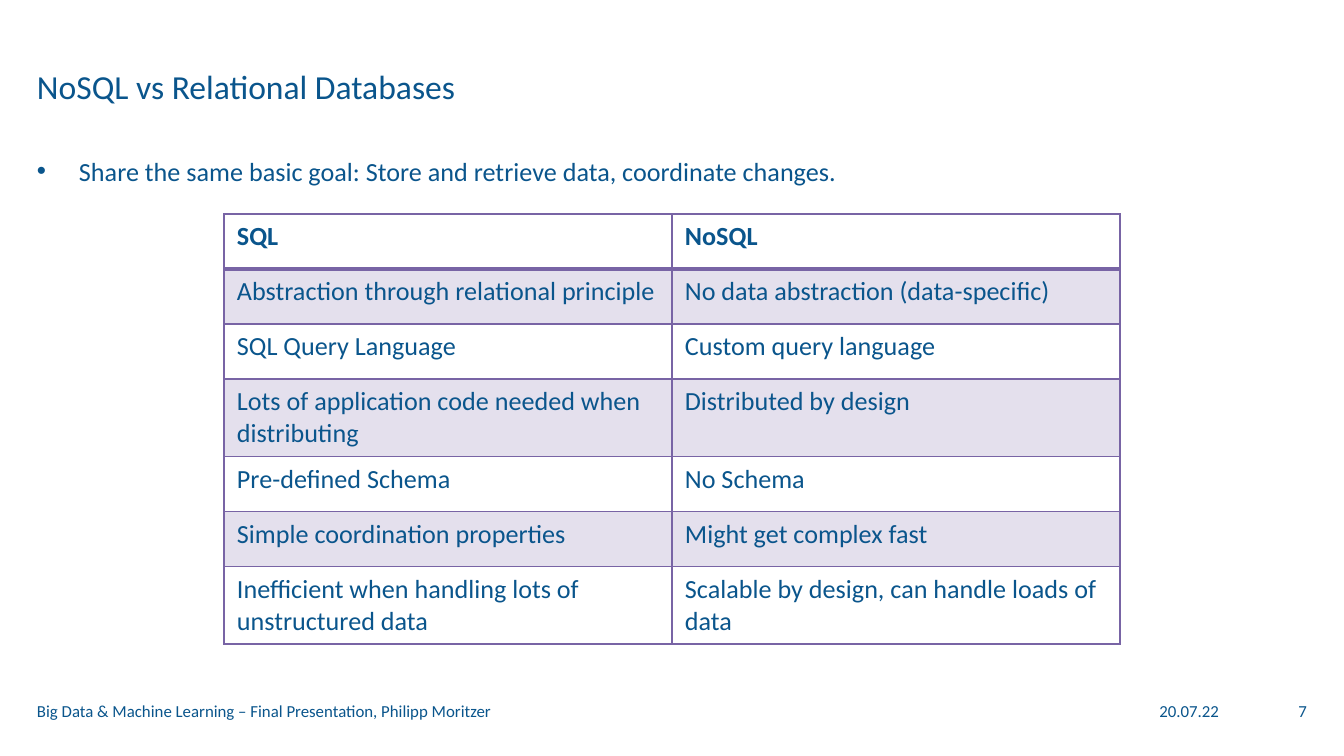
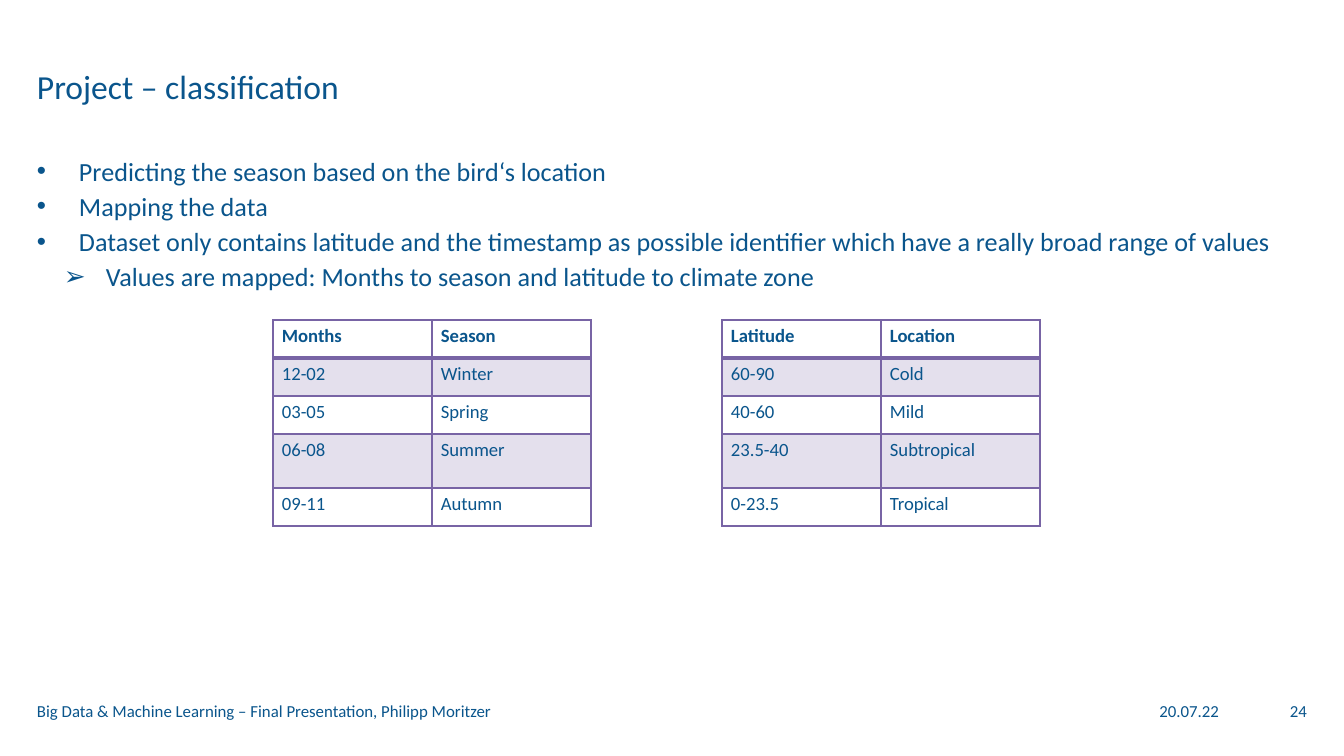
import pptx
import pptx.dml.color
import pptx.enum.text
import pptx.oxml
import pptx.oxml.ns
import pptx.util
from lxml import etree

# One px is 1/134.4 inch
EMU_PER_PX = 914400 / 134.4
WIDTH, HEIGHT = 1344, 756

FONT = "Calibri"
BLUE = pptx.dml.color.RGBColor(0x0A, 0x55, 0x8C)
PURPLE = pptx.dml.color.RGBColor(0x78, 0x64, 0xA5)
BAND_OPACITY = 20

LEFT = pptx.enum.text.PP_ALIGN.LEFT
RIGHT = pptx.enum.text.PP_ALIGN.RIGHT
TOP = pptx.enum.text.MSO_ANCHOR.TOP
MIDDLE = pptx.enum.text.MSO_ANCHOR.MIDDLE

FOOTER = "Big Data & Machine Learning – Final Presentation, Philipp Moritzer"
DATE = "20.07.22"

# Per list level: bullet character and left margin; all hang by the same amount
BULLETS = [("•", 42), ("➢", 69)]
HANGING = 42


def px(length):
    return pptx.util.Emu(round(length * EMU_PER_PX))


def sub(parent, tag, **attributes):
    return etree.SubElement(parent, pptx.oxml.ns.qn(tag), attributes)


class Deck:
    def __init__(self):
        self.presentation = pptx.Presentation()
        self.presentation.slide_width = px(WIDTH)
        self.presentation.slide_height = px(HEIGHT)
        self.page = None

    def add_page(self, title, number):
        layout = self.presentation.slide_layouts[1]
        self.page = self.presentation.slides.add_slide(layout)
        self.text(1106, 700, 113, 22, DATE, RIGHT)
        self.text(37, 700, 1000, 22, FOOTER, LEFT)
        self.text(1250, 700, 57, 22, str(number), RIGHT)
        box = self.page.shapes.title
        self.place(box, 37, 66, 1270, 79, TOP)
        box.text_frame.text = title
        self.style(box.text_frame.paragraphs[0], 18)

    def place(self, box, left, top, width, height, anchor):
        box.left, box.top = px(left), px(top)
        box.width, box.height = px(width), px(height)
        frame = box.text_frame
        frame.margin_left = frame.margin_right = 0
        frame.margin_top = frame.margin_bottom = 0
        frame.word_wrap = True
        frame.auto_size = pptx.enum.text.MSO_AUTO_SIZE.NONE
        frame.vertical_anchor = anchor

    def style(self, para, size, align=LEFT, bold=False):
        para.alignment = align
        para.font.name = FONT
        para.font.size = pptx.util.Pt(size)
        para.font.bold = bold
        para.font.color.rgb = BLUE

    def text(self, left, top, width, height, words, align):
        box = self.page.shapes.add_textbox(0, 0, 0, 0)
        self.place(box, left, top, width, height, MIDDLE)
        box.text_frame.text = words
        self.style(box.text_frame.paragraphs[0], 9, align)

    def bullets(self, items):
        """Fill the body with (level, words) items."""
        box = self.page.placeholders[1]
        self.place(box, 37, 155, 1270, 530, TOP)
        frame = box.text_frame
        frame.text = "\n".join(words for level, words in items)
        for index, (para, (level, words)) in enumerate(zip(frame.paragraphs, items)):
            character, margin = BULLETS[level]
            para.level = level
            properties = para._p.get_or_add_pPr()
            properties.set("marL", str(px(margin)))
            properties.set("indent", str(px(-HANGING)))
            sub(properties, "a:buChar", char=character)
            para.space_before = pptx.util.Pt(2 if index else 0)
            self.style(para, 14)

    def table(self, left, top, column_width, row_heights, rows, size, insets):
        columns = len(rows[0])
        grid = self.page.shapes.add_table(
            len(rows), columns, px(left), px(top),
            px(column_width * columns), px(sum(row_heights))).table
        grid.first_row = grid.horz_banding = False
        for column in grid.columns:
            column.width = px(column_width)
        for row_index, (words_in_row, height) in enumerate(zip(rows, row_heights)):
            grid.rows[row_index].height = px(height)
            for column_index, words in enumerate(words_in_row):
                cell = grid.cell(row_index, column_index)
                cell.margin_left = cell.margin_right = px(insets[0])
                cell.margin_top = cell.margin_bottom = px(insets[1])
                cell.text = words
                self.style(cell.text_frame.paragraphs[0], size, bold=row_index == 0)
                self.fill_cell(cell, banded=row_index % 2 == 1)
                self.border_cell(cell, row_index)

    def fill_cell(self, cell, banded):
        if not banded:
            cell.fill.background()
            return
        cell.fill.solid()
        cell.fill.fore_color.rgb = PURPLE
        colour = cell._tc.tcPr.find(".//" + pptx.oxml.ns.qn("a:srgbClr"))
        sub(colour, "a:alpha", val=str(BAND_OPACITY * 1000))

    def border_cell(self, cell, row_index):
        # The rule between the header and the first row is heavier
        widths = {"L": 1, "R": 1,
                  "T": 2 if row_index == 1 else 1,
                  "B": 2 if row_index == 0 else 1}
        properties = cell._tc.tcPr
        for position, (side, width) in enumerate(widths.items()):
            line = sub(properties, "a:ln" + side, w=str(pptx.util.Pt(width)))
            sub(sub(line, "a:solidFill"), "a:srgbClr", val=str(PURPLE))
            properties.insert(position, line)


def main():
    deck = Deck()

    # Comparison of database kinds
    deck.add_page("NoSQL vs Relational Databases", 7)
    deck.bullets([(0, "Share the same basic goal: Store and retrieve data, coordinate changes.")])
    comparison = [
        ("SQL", "NoSQL"),
        ("Abstraction through relational principle", "No data abstraction (data-specific)"),
        ("SQL Query Language", "Custom query language"),
        ("Lots of application code needed when distributing", "Distributed by design"),
        ("Pre-defined Schema", "No Schema"),
        ("Simple coordination properties", "Might get complex fast"),
        ("Inefficient when handling lots of unstructured data",
         "Scalable by design, can handle loads of data"),
    ]
    deck.table(224, 214, 448, [55] * len(comparison), comparison, 14, (13, 7))

    # Mapping of the classification values
    deck.add_page("Project – classification", 24)
    deck.bullets([
        (0, "Predicting the season based on the bird‘s location"),
        (0, "Mapping the data"),
        (0, "Dataset only contains latitude and the timestamp as possible identifier "
            "which have a really broad range of values"),
        (1, "Values are mapped: Months to season and latitude to climate zone"),
    ])
    seasons = [("Months", "Season"), ("12-02", "Winter"), ("03-05", "Spring"),
               ("06-08", "Summer"), ("09-11", "Autumn")]
    climates = [("Latitude", "Location"), ("60-90", "Cold"), ("40-60", "Mild"),
                ("23.5-40", "Subtropical"), ("0-23.5", "Tropical")]
    for left, mapping in ((273, seasons), (722, climates)):
        deck.table(left, 320, 159, [38, 38, 38, 54, 38], mapping, 10, (9, 5))

    deck.presentation.save("out.pptx")


if __name__ == "__main__":
    main()
